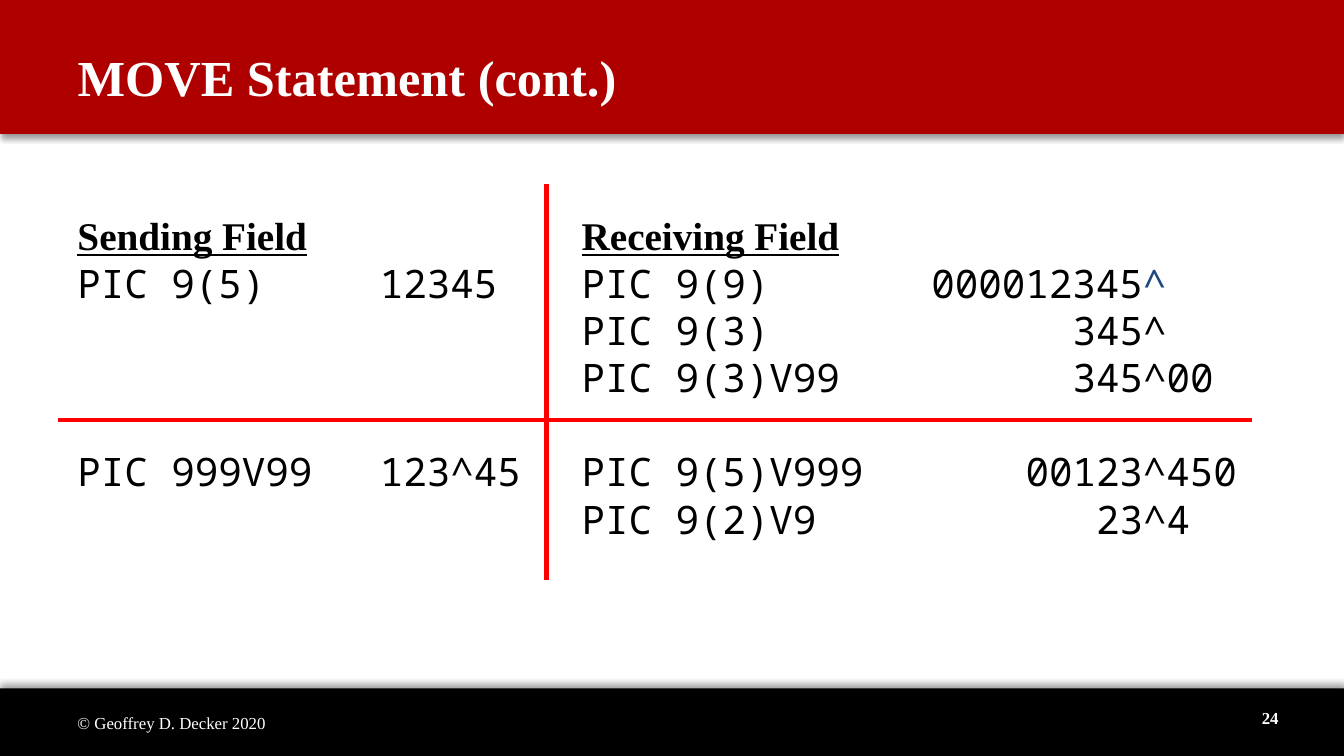
"""Build the slide that compares sending and receiving fields of MOVE."""
from lxml.etree import SubElement
from pptx import Presentation
from pptx.dml.color import RGBColor
from pptx.enum.shapes import MSO_CONNECTOR, MSO_SHAPE
from pptx.enum.text import MSO_ANCHOR, MSO_AUTO_SIZE, PP_ALIGN
from pptx.oxml.ns import qn
from pptx.util import Inches, Pt

SERIF = "Times New Roman"
MONO = "Noto Sans Mono"
BLACK, WHITE, BAND_RED, RULE_RED, NAVY = "000000", "FFFFFF", "AF0000", "FF0000", "1F497D"
FIELD_SIZE = 28
LINE_PITCH = 33.7
CHAR_WIDTH = FIELD_SIZE * 0.6 / 72
VALUE_STOP, RECEIVING_STOP, POINT_STOP = 3, 5, 10.57

FIELD_ROWS = [
    ("PIC 9(5)", "12345", "PIC 9(9)", "000012345", "", NAVY),
    ("", "", "PIC 9(3)", "345", "", BLACK),
    ("", "", "PIC 9(3)V99", "345", "00", BLACK),
    ("PIC 999V99", "123^45", "PIC 9(5)V999", "00123", "450", BLACK),
    ("", "", "PIC 9(2)V9", "23", "4", BLACK),
]
SECOND_GROUP = 3


def color(hex_code):
    """Return the colour for a hex string."""
    return RGBColor.from_string(hex_code)


class SlideBuilder:
    """Holds the current slide and its styling."""

    def __init__(self, slide):
        """Keep the slide to draw on."""
        self.slide = slide
        self.shapes = slide.shapes

    def band(self, top, height, fill, shadow_angle):
        """Add a full-width band with a soft shadow."""
        band = self.shapes.add_shape(
            MSO_SHAPE.RECTANGLE, 0, Inches(top), Inches(13.33), Inches(height))
        band.fill.solid()
        band.fill.fore_color.rgb = color(fill)
        band.line.fill.background()
        band.shadow.inherit = False
        effects = band.element.spPr.find(qn("a:effectLst"))
        shadow = SubElement(effects, qn("a:outerShdw"), blurRad=str(Pt(4)), dist=str(Pt(3)),
                            dir=str(shadow_angle * 60000), algn="ctr", rotWithShape="0")
        tint = SubElement(shadow, qn("a:srgbClr"), val=BLACK)
        SubElement(tint, qn("a:alpha"), val="40000")

    def frame(self, holder, anchor):
        """Prepare the text frame of a shape and return it."""
        frame = holder.text_frame
        frame.word_wrap = True
        frame.auto_size = MSO_AUTO_SIZE.NONE
        frame.vertical_anchor = anchor
        return frame

    def run(self, paragraph, text, size, fill, font=SERIF, bold=False, underline=False):
        """Add one formatted run to a paragraph."""
        run = paragraph.add_run()
        run.text = text
        run.font.name = font
        run.font.size = Pt(size)
        run.font.bold = bold
        run.font.underline = underline
        run.font.color.rgb = color(fill)

    def title(self, text):
        """Place the title on top of the band."""
        title = self.shapes.title
        title.left, title.top = Inches(0.67), Inches(0.17)
        title.width, title.height = Inches(11), Inches(1.17)
        title.element.getparent().append(title.element)
        paragraph = self.frame(title, MSO_ANCHOR.MIDDLE).paragraphs[0]
        paragraph.alignment = PP_ALIGN.LEFT
        self.run(paragraph, text, 36, WHITE, bold=True)

    def text_box(self, left, top, width, height, anchor=MSO_ANCHOR.MIDDLE):
        """Add a text box and return its text frame."""
        box = self.shapes.add_textbox(Inches(left), Inches(top), Inches(width), Inches(height))
        return self.frame(box, anchor)

    def footer(self, left, top, width, text, align, bold=False):
        """Add a small white footer text."""
        paragraph = self.text_box(left, top, width, 0.4).paragraphs[0]
        paragraph.alignment = align
        self.run(paragraph, text, 12, WHITE, bold=bold)

    def tab_stops(self, paragraph, stops):
        """Set the line pitch and left tab stops of a paragraph."""
        paragraph.line_spacing = Pt(LINE_PITCH)
        tabs = SubElement(paragraph._p.get_or_add_pPr(), qn("a:tabLst"))
        for stop in stops:
            SubElement(tabs, qn("a:tab"), pos=str(Inches(stop)), algn="l")

    def field_list(self, rows):
        """Write the fields with their decimal points aligned."""
        frame = self.text_box(0.67, 2.05, 12.11, 3.87, MSO_ANCHOR.TOP)
        heading = frame.paragraphs[0]
        self.tab_stops(heading, [RECEIVING_STOP])
        for text, underline in (("Sending Field", True), ("\t", False), ("Receiving Field", True)):
            self.run(heading, text, FIELD_SIZE, BLACK, bold=True, underline=underline)
        for index, (sending, value, receiving, whole, decimals, caret) in enumerate(rows):
            paragraph = frame.add_paragraph()
            stops = [RECEIVING_STOP, POINT_STOP - len(whole) * CHAR_WIDTH]
            self.tab_stops(paragraph, [VALUE_STOP] + stops if sending else stops)
            if index == SECOND_GROUP:
                paragraph.space_before = Pt(LINE_PITCH)
            source = f"{sending}\t{value}" if sending else ""
            parts = ((f"{source}\t{receiving}\t{whole}", BLACK), ("^", caret), (decimals, BLACK))
            for text, fill in parts:
                if text:
                    self.run(paragraph, text, FIELD_SIZE, fill, MONO)

    def rule(self, x1, y1, x2, y2):
        """Add a red dividing line."""
        rule = self.shapes.add_connector(
            MSO_CONNECTOR.STRAIGHT, Inches(x1), Inches(y1), Inches(x2), Inches(y2))
        rule.line.color.rgb = color(RULE_RED)
        rule.line.width = Pt(3)
        SubElement(rule.element.spPr, qn("a:effectLst"))


def main():
    """Build and save the presentation."""
    deck = Presentation()
    deck.slide_width, deck.slide_height = Inches(13.33), Inches(7.5)
    builder = SlideBuilder(deck.slides.add_slide(deck.slide_layouts[5]))
    builder.band(6.83, 0.67, BLACK, 270)
    builder.band(0, 1.33, BAND_RED, 90)
    builder.footer(10.78, 6.92, 2, "24", PP_ALIGN.RIGHT, bold=True)
    builder.title("MOVE Statement (cont.)")
    builder.footer(0.67, 6.97, 4.22, "© Geoffrey D. Decker 2020", PP_ALIGN.LEFT)
    builder.field_list(FIELD_ROWS)
    builder.rule(5.42, 1.83, 5.42, 5.75)
    builder.rule(0.58, 4.17, 12.42, 4.17)
    deck.save("out.pptx")


if __name__ == "__main__":
    main()
